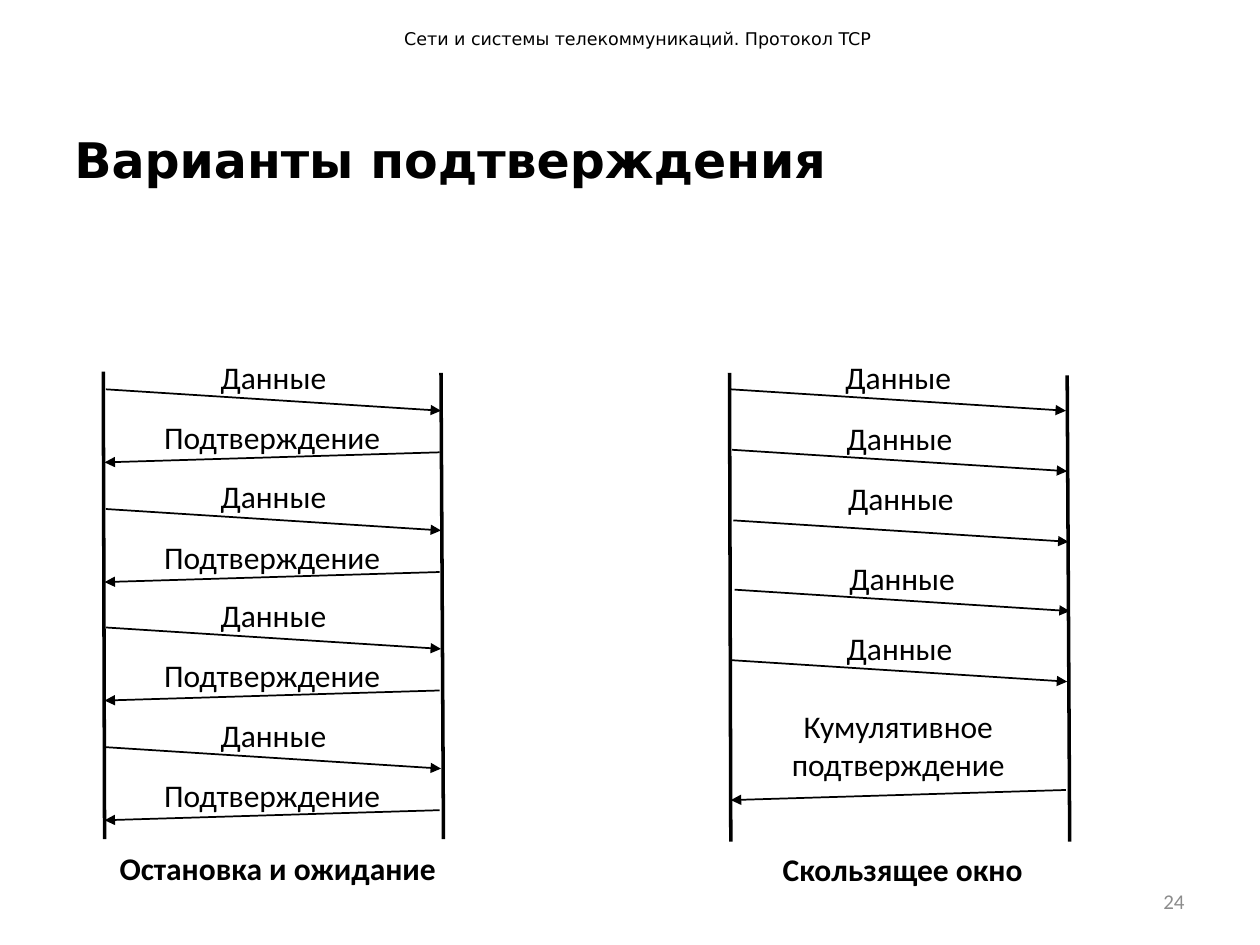
from dataclasses import dataclass

from lxml import etree
from pptx import Presentation
from pptx.dml.color import RGBColor
from pptx.enum.shapes import MSO_CONNECTOR
from pptx.enum.text import MSO_ANCHOR, MSO_AUTO_SIZE, PP_ALIGN
from pptx.oxml.ns import qn
from pptx.util import Emu, Pt

LEFT, MID, RIGHT = PP_ALIGN.LEFT, PP_ALIGN.CENTER, PP_ALIGN.RIGHT
TOP, CENTRE = MSO_ANCHOR.TOP, MSO_ANCHOR.MIDDLE
FIT, FIXED = MSO_AUTO_SIZE.SHAPE_TO_FIT_TEXT, MSO_AUTO_SIZE.NONE
STRAIGHT = MSO_CONNECTOR.STRAIGHT

UNIT = 9144  # 100 px to the inch
BLACK, GREY = "000000", "8C8C8C"
SANS, BODY = "DejaVu Sans", "Calibri"
WIDE = 266  # width of a message label
DATA, ACK = "Данные", "Подтверждение"


@dataclass(frozen=True)
class Style:
    size: int
    font: str = BODY
    hue: str = BLACK
    bold: bool = False
    align: PP_ALIGN = MID


@dataclass(frozen=True)
class Box:
    left: int
    top: int
    width: int
    height: int = 40


@dataclass(frozen=True)
class Line:
    x1: int
    y1: int
    x2: int
    y2: int
    weight: int = 1
    arrow: bool = True


@dataclass(frozen=True)
class Message:
    """A label and the arrow below it."""
    words: str
    box: Box
    line: Line


LABEL = Style(18)
NAME = Style(18, bold=True)


def px(count: int) -> Emu:
    return Emu(count * UNIT)


def paint(code: str) -> RGBColor:
    return RGBColor.from_string(code)


def place(shape, box: Box) -> None:
    shape.left, shape.top = px(box.left), px(box.top)
    shape.width, shape.height = px(box.width), px(box.height)


def write(frame, words: str, style: Style) -> None:
    frame.word_wrap = True
    for i, text in enumerate(words.split("\n")):
        para = frame.paragraphs[0] if i == 0 else frame.add_paragraph()
        para.alignment = style.align
        run = para.add_run()
        run.text = text
        font = run.font
        font.name, font.size, font.bold = style.font, Pt(style.size), style.bold
        font.color.rgb = paint(style.hue)


def add_text(slide, words: str, box: Box, style: Style,
             fit=FIT, anchor=TOP) -> None:
    shape = slide.shapes.add_textbox(0, 0, 0, 0)
    place(shape, box)
    frame = shape.text_frame
    write(frame, words, style)
    frame.auto_size, frame.vertical_anchor = fit, anchor


def add_title(slide, words: str, box: Box, style: Style) -> None:
    title = slide.shapes.title
    place(title, box)
    frame = title.text_frame
    frame.margin_left = frame.margin_right = 0
    frame.margin_top = frame.margin_bottom = 0
    frame.auto_size, frame.vertical_anchor = FIXED, TOP
    write(frame, words, style)


def add_line(slide, line: Line) -> None:
    ends = (px(n) for n in (line.x1, line.y1, line.x2, line.y2))
    shape = slide.shapes.add_connector(STRAIGHT, *ends)
    shape.line.color.rgb = paint(BLACK)
    shape.line.width = Pt(line.weight)
    props = shape.line._get_or_add_ln()
    if line.arrow:
        etree.SubElement(props, qn("a:tailEnd"), type="triangle")
    etree.SubElement(props.getparent(), qn("a:effectLst"))


def add_message(slide, item: Message) -> None:
    add_line(slide, item.line)
    add_text(slide, item.words, item.box, LABEL)


def send(x: int, top: int, drop: int = 30) -> Message:
    """Data going right; the arrow starts `drop` below the label's top."""
    y = top + drop
    return Message(DATA, Box(x, top, WIDE), Line(x, y, x + WIDE, y + 17))


def reply(x: int, top: int, words: str, drop: int, high: int = 40) -> Message:
    """Acknowledgement going left."""
    y = top + drop
    return Message(words, Box(x, top, WIDE, high), Line(x + WIDE, y, x, y + 8))


def main() -> None:
    deck = Presentation()
    deck.slide_width, deck.slide_height = px(1000), px(750)
    slide = deck.slides.add_slide(deck.slide_layouts[5])

    # Header, title and page number
    add_text(slide, "Сети и системы телекоммуникаций. Протокол TCP",
             Box(311, 17, 685, 27), Style(10, SANS, align=LEFT))
    add_title(slide, "Варианты подтверждения", Box(59, 103, 898, 47),
              Style(28, SANS, bold=True, align=LEFT))
    add_text(slide, "24", Box(717, 695, 233), Style(12, hue=GREY, align=RIGHT),
             FIXED, CENTRE)

    # Time axes of the two hosts in each scheme
    for x, top, end, low in ((82, 295, 83, 666), (350, 296, 352, 666),
                             (579, 296, 580, 668), (847, 298, 849, 668)):
        add_line(slide, Line(x, top, end, low, 2, False))

    # Stop and wait: four rounds, 94.5 px apart
    for i in range(4):
        top = 279 + (189 * i + 1) // 2
        add_message(slide, send(84, top))
        add_message(slide, reply(83, top + 48, ACK, 32))

    # Sliding window: five messages, one shared acknowledgement
    for x, top, drop in ((580, 279, 30), (581, 328, 29), (582, 375, 38),
                         (583, 439, 29), (581, 494, 30)):
        add_message(slide, send(x, top, drop))
    add_message(slide, reply(580, 556, "Кумулятивное\nподтверждение", 71, 71))

    # Names of the schemes
    add_text(slide, "Остановка и ожидание", Box(59, 669, 323), NAME)
    add_text(slide, "Скользящее окно", Box(555, 670, 323), NAME)

    deck.save("out.pptx")


if __name__ == "__main__":
    main()
